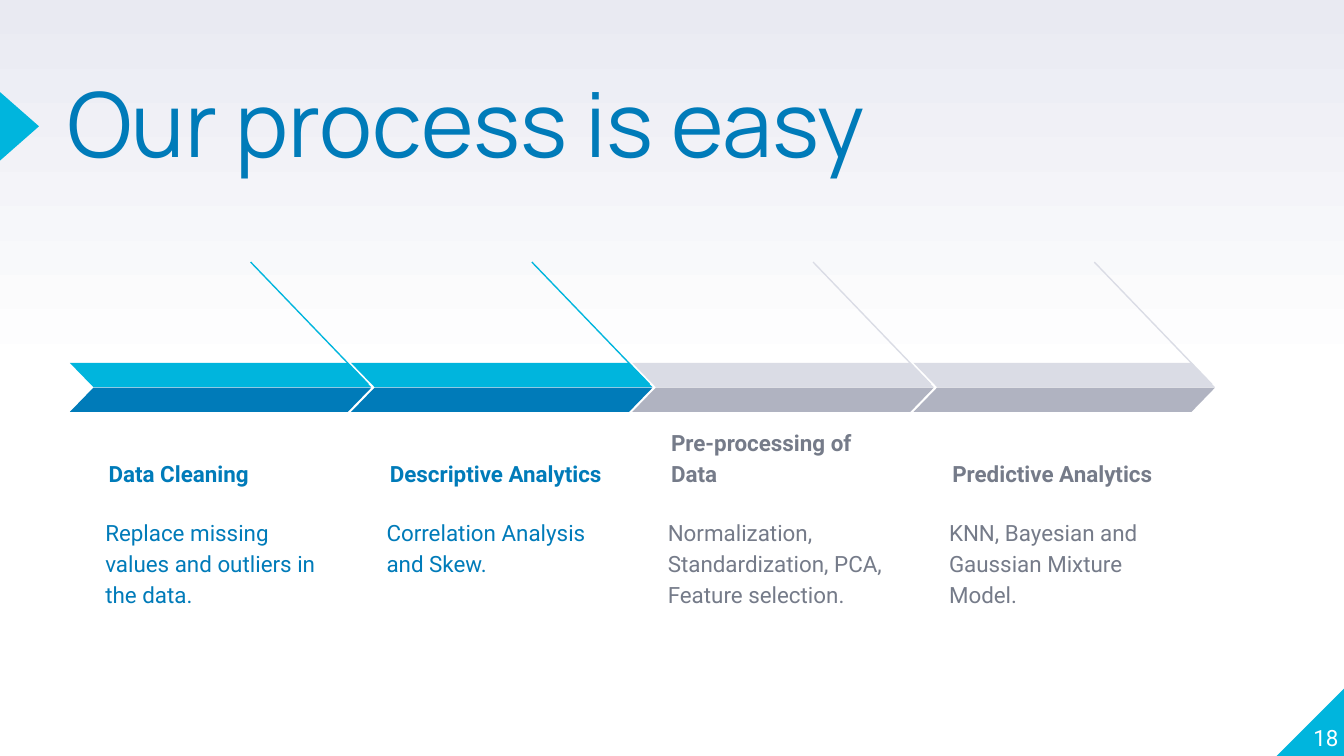
import dataclasses

import pptx
import pptx.dml.color
import pptx.enum.shapes
import pptx.enum.text
import pptx.oxml.ns
import pptx.util
from lxml import etree

SHAPE = pptx.enum.shapes.MSO_SHAPE
ANCHOR = pptx.enum.text.MSO_ANCHOR
ALIGN = pptx.enum.text.PP_ALIGN

# A 16:9 page; the grid has square cells, 100 columns across the slide
WIDTH = pptx.util.Inches(10)
HEIGHT = pptx.util.Emu(WIDTH * 9 // 16)
CELL = WIDTH / 100


@dataclasses.dataclass(frozen=True)
class Theme:
    cyan: str = "00B5DD"
    blue: str = "007BB9"
    pale: str = "DADCE5"
    grey: str = "B0B3C1"
    slate: str = "757B89"
    white: str = "FFFFFF"
    haze: str = "E9EAF2"
    title_font: str = "Manrope"
    body_font: str = "Roboto"
    title_size: int = 48
    body_size: int = 12
    rule_width: float = 0.75


THEME = Theme()
# Upper band, lower band and text colours of a step
ACTIVE = (THEME.cyan, THEME.blue, THEME.blue)
MUTED = (THEME.pale, THEME.grey, THEME.slate)

STEPS = [
    ("Data Cleaning", "Replace missing values and outliers in the data.", ACTIVE),
    ("Descriptive Analytics", "Correlation Analysis and Skew.", ACTIVE),
    ("Pre-processing of Data",
     "Normalization, Standardization, PCA, Feature selection.", MUTED),
    ("Predictive Analytics", "KNN, Bayesian and Gaussian Mixture Model.", MUTED),
]


def rgb(colour):
    return pptx.dml.color.RGBColor.from_string(colour)


def cells(*counts):
    return [pptx.util.Emu(round(count * CELL)) for count in counts]


def add_block(shapes, preset, box, colour, flip=False, rotation=0, adjust=None):
    block = shapes.add_shape(preset, *cells(*box))
    block.shadow.inherit = False
    block.fill.solid()
    block.fill.fore_color.rgb = rgb(colour)
    block.line.fill.background()
    block.rotation = rotation
    if adjust is not None:
        block.adjustments[0] = adjust
    if flip:
        block._element.spPr.xfrm.set("flipH", "1")


def add_text(shapes, box, words, colour, size=THEME.body_size,
             font=THEME.body_font, bold=False, anchor=ANCHOR.TOP,
             align=ALIGN.LEFT, inset=0, spacing=1.0, after=0):
    frame = shapes.add_textbox(*cells(*box)).text_frame
    frame.word_wrap = True
    frame.vertical_anchor = anchor
    (frame.margin_left, frame.margin_top,
     frame.margin_right, frame.margin_bottom) = cells(*[inset] * 4)
    paragraph = frame.paragraphs[0]
    paragraph.alignment = align
    paragraph.line_spacing = spacing
    paragraph.space_after = pptx.util.Pt(after)
    run = paragraph.add_run()
    run.text = words
    run.font.name = font
    run.font.size = pptx.util.Pt(size)
    run.font.bold = bold
    run.font.color.rgb = rgb(colour)


def add_rule(shapes, start, end, colour):
    rule = shapes.add_connector(pptx.enum.shapes.MSO_CONNECTOR.STRAIGHT,
                                *cells(*start, *end))
    rule.line.color.rgb = rgb(colour)
    rule.line.width = pptx.util.Pt(THEME.rule_width)
    etree.SubElement(rule._element.spPr, pptx.oxml.ns.qn("a:effectLst"))


def paint_background(slide):
    fill = slide.background.fill
    fill.gradient()
    fill.gradient_angle = 90
    for stop, position, colour in zip(fill.gradient_stops, (0.5, 1.0),
                                      (THEME.white, THEME.haze)):
        stop.position = position
        stop.color.rgb = rgb(colour)


def add_header(slide, box, title):
    left, top, width, height = box
    # Marker pointing in from the slide edge
    add_block(slide.shapes, SHAPE.ISOSCELES_TRIANGLE,
              (left - 6.1, top + 1.35, 5.1, 2.9), THEME.cyan, rotation=90)
    add_text(slide.shapes, box, title, THEME.blue, size=THEME.title_size,
             font=THEME.title_font, spacing=0.8)


def add_page_corner(slide, box, number):
    left, top, width, height = box
    add_block(slide.shapes, SHAPE.RIGHT_TRIANGLE, box, THEME.cyan, flip=True)
    add_text(slide.shapes, (left - 0.4, top - 0.4, width - 0.1, height),
             number, THEME.white, anchor=ANCHOR.BOTTOM, align=ALIGN.RIGHT)


def add_step(slide, box, heading, detail, colours):
    left, top, width, height = box
    upper, lower, ink = colours
    group = slide.shapes.add_group_shape().shapes
    # Heading sits on the row above the detail
    add_text(group, (left + 1.9, top + 12.2, 18.4, 5.5), heading, ink,
             bold=True, anchor=ANCHOR.BOTTOM, inset=1, spacing=1.15)
    add_text(group, (left + 1.65, top + 17.85, 18.9, height - 17.85), detail,
             ink, inset=1, spacing=1.15, after=16)
    # Slanted rule running down to the arrow tip
    add_rule(group, (left + 13.45, top), (left + 22.2, top + 9.1), upper)
    # Two mirrored bands form the arrow
    for offset, colour, flip in ((7.5, upper, True), (9.35, lower, False)):
        add_block(group, SHAPE.PARALLELOGRAM,
                  (left, top + offset, width + 1.5, 1.8), colour,
                  flip=flip, adjust=0.97)


def add_process(slide, box, steps):
    left, top, width, height = box
    column = width / len(steps)
    for index, step in enumerate(steps):
        add_step(slide, (left + index * column, top, column, height), *step)


def main():
    deck = pptx.Presentation()
    deck.slide_width, deck.slide_height = WIDTH, HEIGHT
    slide = deck.slides.add_slide(deck.slide_layouts[6])
    paint_background(slide)
    add_page_corner(slide, (95, 51.15, 5.1, 5.1), "18")
    add_header(slide, (5, 6.6, 61.7, 11.8), "Our process is easy")
    add_process(slide, (5.2, 19.5, 83.7, 26.8), STEPS)
    deck.save("out.pptx")


if __name__ == "__main__":
    main()
